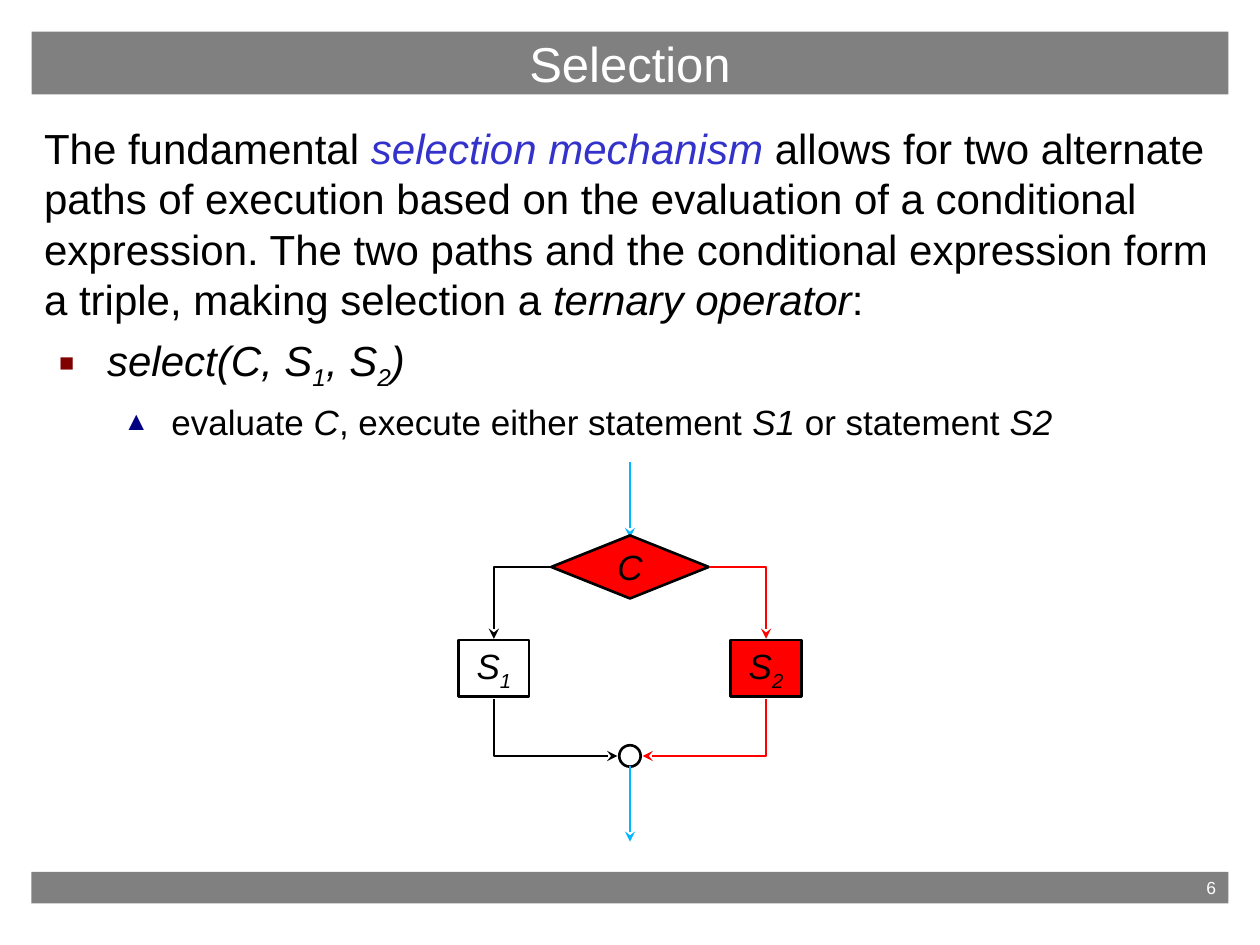
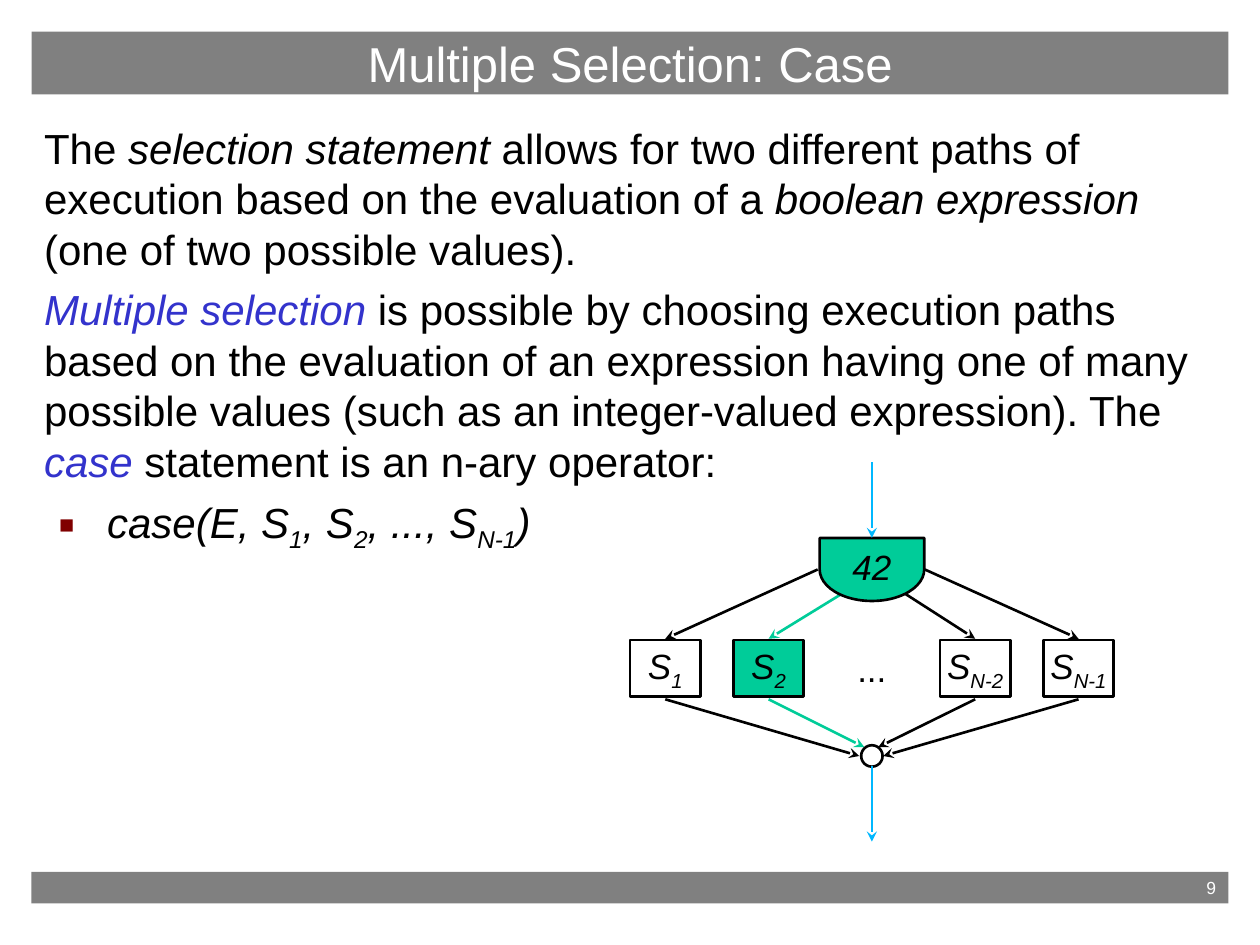
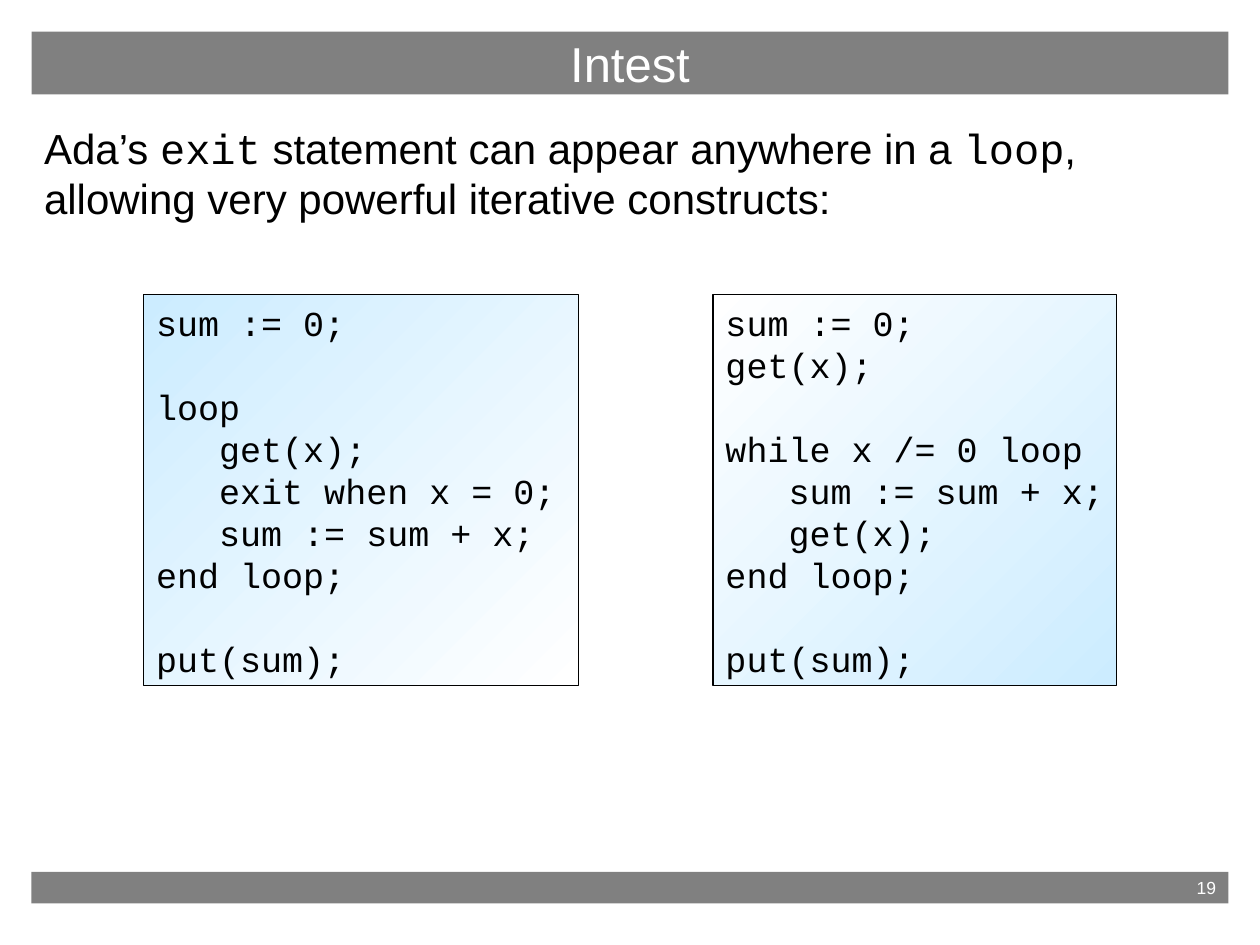
from dataclasses import dataclass

from pptx import Presentation
from pptx import util as u
from pptx.dml.color import RGBColor
from pptx.enum import shapes, text
from pptx.oxml import ns
from pptx.oxml.xmlchemy import OxmlElement

Inches, Pt = u.Inches, u.Pt
SHAPE, LINE = shapes.MSO_SHAPE, shapes.MSO_CONNECTOR
ALIGN, ANCHOR = text.PP_ALIGN, text.MSO_ANCHOR


@dataclass(frozen=True)
class Theme:
    sans: str = "Arial"
    mono: str = "Courier New"
    black: str = "000000"
    white: str = "FFFFFF"
    band: str = "808080"
    key: str = "3333CC"
    flow: str = "00B8FF"
    red: str = "FF0000"
    green: str = "00CC99"
    code: str = "CCECFF"
    title_pt: int = 28
    body_pt: int = 24
    small_pt: int = 20
    page_pt: int = 10
    leading: float = 1.2
    line_pt: float = 1.5


THEME = Theme()


@dataclass(frozen=True)
class Level:
    size: int
    space: int
    margin: float = 0
    indent: float = 0
    bullet: str = ""
    color: str = ""
    percent: int = 100


LEVELS = [
    Level(THEME.body_pt, 6),
    Level(THEME.body_pt, 10, 0.5, -0.38, "■", "800000", 60),
    Level(THEME.small_pt, 5, 1.01, -0.38, "▲", "000080", 75),
]

# Flow chart rows shared by both diagrams
ENTRY_Y, TEST_Y, TEST_H = 3.67, 4.5, 0.5
BOX_Y, BOX_W, BOX_H = 5.08, 0.56, 0.45
BOX_BOTTOM = BOX_Y + BOX_H + 0.02
JOIN_Y, JOIN_D, EXIT_Y = 6, 0.17, 6.68


def rgb(color):
    return RGBColor.from_string(color)


def set_font(font, size, color=THEME.black, name=THEME.sans, italic=None):
    font.size, font.name, font.italic = Pt(size), name, italic
    font.color.rgb = rgb(color)


def add_child(parent, tag, **attributes):
    child = OxmlElement(tag)
    for key, value in attributes.items():
        child.set(key, value)
    parent.append(child)
    return child


# Text
def add_runs(paragraph, runs):
    """Styles: i italic, k key term, s subscript, m monospaced."""
    for words, style in runs:
        run = paragraph.add_run()
        run.text = words
        if style in ("i", "k", "s"):
            run.font.italic = True
        if style == "k":
            run.font.color.rgb = rgb(THEME.key)
        elif style == "s":
            run.font._element.set("baseline", "-25000")
        elif style == "m":
            run.font.name = THEME.mono


def format_level(paragraph, level, first):
    pPr = paragraph._p.get_or_add_pPr()
    pPr.set("marL", str(Inches(level.margin)))
    pPr.set("indent", str(Inches(level.indent)))
    if level.bullet:
        add_child(add_child(pPr, "a:buClr"), "a:srgbClr", val=level.color)
        add_child(pPr, "a:buSzPct", val=str(level.percent * 1000))
        add_child(pPr, "a:buFont", typeface=THEME.sans)
        add_child(pPr, "a:buChar", char=level.bullet)
    else:
        add_child(pPr, "a:buNone")
    paragraph.space_before = Pt(0 if first else level.space)
    paragraph.line_spacing = Pt(level.size * THEME.leading)
    set_font(paragraph.font, level.size)


def fill_body(body, paragraphs):
    frame = body.text_frame
    frame.auto_size = text.MSO_AUTO_SIZE.NONE
    for index, (depth, runs) in enumerate(paragraphs):
        paragraph = frame.add_paragraph() if index else frame.paragraphs[0]
        paragraph.level = depth
        format_level(paragraph, LEVELS[depth], index == 0)
        add_runs(paragraph, runs)


def write_label(shape, runs):
    frame = shape.text_frame
    frame.word_wrap = False
    frame.vertical_anchor = ANCHOR.MIDDLE
    paragraph = frame.paragraphs[0]
    paragraph.alignment = ALIGN.CENTER
    set_font(paragraph.font, THEME.small_pt)
    add_runs(paragraph, runs)


# Shapes and lines
def place(shape, left, top, width, height):
    shape.left, shape.top = Inches(left), Inches(top)
    shape.width, shape.height = Inches(width), Inches(height)


def paint(shape, fill):
    shape.fill.solid()
    shape.fill.fore_color.rgb = rgb(fill)


def outline(shape, width):
    shape.line.color.rgb = rgb(THEME.black)
    shape.line.width = Pt(width)


def add_node(slide, kind, center, size, fill, border=True):
    (x, y), (w, h) = center, size
    node = slide.shapes.add_shape(kind, Inches(x - w / 2), Inches(y - h / 2),
                                  Inches(w), Inches(h))
    node.shadow.inherit = False
    paint(node, fill)
    if border:
        outline(node, THEME.line_pt)
    else:
        node.line.fill.background()
    return node


def add_statement(slide, x, runs, fill=THEME.white, border=True):
    center = (x, BOX_Y + BOX_H / 2)
    box = add_node(slide, SHAPE.RECTANGLE, center, (BOX_W, BOX_H), fill, border)
    write_label(box, runs)


def add_arrow(slide, start, end, color=THEME.black, kind=LINE.STRAIGHT,
              arrow_at="a:tailEnd"):
    arrow = slide.shapes.add_connector(kind, *map(Inches, start + end))
    arrow.line.color.rgb = rgb(color)
    arrow.line.width = Pt(THEME.line_pt)
    add_child(arrow.line._get_or_add_ln(), arrow_at, type="stealth")
    add_child(arrow._element.spPr, "a:effectLst")
    return arrow


def add_elbow(slide, start, end, color, arrow_at="a:tailEnd"):
    """Run level from start, then turn once towards end."""
    elbow = add_arrow(slide, start, end, color, LINE.ELBOW, arrow_at)
    elbow._element.spPr.find(ns.qn("a:prstGeom")).set("prst", "bentConnector2")


def add_entry(slide, x):
    add_arrow(slide, (x, ENTRY_Y), (x, 4.27), THEME.flow)


def add_join_and_exit(slide, x):
    add_node(slide, SHAPE.FLOWCHART_CONNECTOR, (x, JOIN_Y), (JOIN_D, JOIN_D), THEME.white)
    add_arrow(slide, (x, JOIN_Y + 0.08), (x, EXIT_Y), THEME.flow)


def add_code(slide, left, width, colors, code):
    box = slide.shapes.add_shape(SHAPE.RECTANGLE, Inches(left), Inches(2.34),
                                 Inches(width), Inches(3.1))
    box.shadow.inherit = False
    box.fill.gradient()
    box.fill.gradient_angle = 135
    for stop, position, color in zip(box.fill.gradient_stops, (0, 1), colors):
        stop.position = position
        stop.color.rgb = rgb(color)
    outline(box, 0.75)
    frame = box.text_frame
    frame.word_wrap = True
    frame.vertical_anchor = ANCHOR.MIDDLE
    frame.margin_right = Inches(0.05)
    paragraph = frame.paragraphs[0]
    paragraph.alignment = ALIGN.LEFT
    paragraph.line_spacing = Pt(THEME.small_pt * THEME.leading)
    set_font(paragraph.font, THEME.small_pt, name=THEME.mono)
    paragraph.text = code


# Slide frame: title band, body and page band
def add_page(deck, title, number, paragraphs):
    slide = deck.slides.add_slide(deck.slide_layouts[1])
    heading, body = slide.placeholders
    page_band = slide.shapes.add_shape(SHAPE.RECTANGLE, 0, 0, 0, 0)
    page_band.shadow.inherit = False
    page_band.line.fill.background()
    place(heading, 0.25, 0.25, 9.5, 0.5)
    place(body, 0.25, 0.92, 9.5, 5.83)
    place(page_band, 0.25, 6.92, 9.5, 0.25)
    bands = [(heading, title, THEME.title_pt, ALIGN.CENTER),
             (page_band, str(number), THEME.page_pt, ALIGN.RIGHT)]
    for band, words, size, alignment in bands:
        paint(band, THEME.band)
        frame = band.text_frame
        frame.auto_size = text.MSO_AUTO_SIZE.NONE
        frame.vertical_anchor = ANCHOR.MIDDLE
        paragraph = frame.paragraphs[0]
        paragraph.alignment = alignment
        set_font(paragraph.font, size, THEME.white)
        paragraph.text = words
    fill_body(body, paragraphs)
    return slide


def add_selection(deck):
    slide = add_page(deck, "Selection", 6, [
        (0, [("The fundamental ", ""), ("selection mechanism", "k"),
             (" allows for two alternate paths of execution based on the evaluation of a "
              "conditional expression. The two paths and the conditional expression form "
              "a triple, making selection a ", ""), ("ternary operator", "i"), (":", "")]),
        (1, [("select(C, S", "i"), ("1", "s"), (", S", "i"), ("2", "s"), (")", "i")]),
        (2, [("evaluate ", ""), ("C", "i"), (", execute either statement ", ""),
             ("S1", "i"), (" or statement ", ""), ("S2", "i")]),
    ])
    middle, reach = 5, 1.08
    add_entry(slide, middle)
    condition = add_node(slide, SHAPE.FLOWCHART_DECISION, (middle, TEST_Y),
                         (1.25, TEST_H), THEME.red)
    write_label(condition, [("C", "i")])
    branches = [(-1, "1", THEME.white, THEME.black), (1, "2", THEME.red, THEME.red)]
    for side, index, fill, color in branches:
        x = middle + side * reach
        add_statement(slide, x, [("S", "i"), (index, "s")], fill)
        add_elbow(slide, (middle + side * 0.63, TEST_Y), (x, BOX_Y - 0.01), color)
        add_elbow(slide, (middle + side * 0.1, JOIN_Y), (x, BOX_BOTTOM), color, "a:headEnd")
    add_join_and_exit(slide, middle)


def add_case(deck):
    slide = add_page(deck, "Multiple Selection: Case", 9, [
        (0, [("The ", ""), ("selection statement", "i"),
             (" allows for two different paths of execution based on the evaluation of a ", ""),
             ("boolean expression", "i"), (" (one of two possible values).", "")]),
        (0, [("Multiple selection", "k"),
             (" is possible by choosing execution paths based on the evaluation of an "
              "expression having one of many possible values (such as an integer-valued "
              "expression). The ", ""), ("case", "k"),
             (" statement is an n-ary operator:", "")]),
        (1, [("case(E, S", "i"), ("1", "s"), (", S", "i"), ("2", "s"),
             (", ..., S", "i"), ("N-1", "s"), (")", "i")]),
    ])
    middle, pitch, test_w = 6.92, 0.82, 0.83
    add_statement(slide, middle, [("...", "")], border=False)
    # Column, index, and where the arrows leave the test and reach the join
    branches = [(-2, "1", (-0.43, 4.52), (-0.1, JOIN_Y)),
                (-1, "2", (-0.25, 4.72), (-0.06, 5.93)),
                (1, "N-2", (0.26, 4.71), (0.05, 5.93)),
                (2, "N-1", (0.42, 4.52), (0.09, JOIN_Y))]
    for column, index, (leave_x, leave_y), (reach_x, reach_y) in branches:
        x = middle + column * pitch
        chosen = index == "2"
        color = THEME.green if chosen else THEME.black
        fill = THEME.green if chosen else THEME.white
        add_statement(slide, x, [("S", "i"), (index, "s")], fill)
        add_arrow(slide, (middle + leave_x, leave_y), (x, BOX_Y - 0.01), color)
        add_arrow(slide, (x, BOX_BOTTOM), (middle + reach_x, reach_y), color)
    expression = add_node(slide, SHAPE.FLOWCHART_DELAY, (middle, 4.52),
                          (TEST_H, test_w), THEME.green)
    expression.rotation = 90
    # The value stays upright, in a box as wide as the turned test shape
    value = slide.shapes.add_textbox(Inches(middle - test_w / 2), Inches(4.28),
                                     Inches(test_w), Inches(0.43))
    write_label(value, [("42", "i")])
    add_entry(slide, middle)
    add_join_and_exit(slide, middle)


def add_intest(deck):
    slide = add_page(deck, "Intest", 19, [
        (0, [("Ada’s ", ""), ("exit", "m"), (" statement can appear anywhere in a ", ""),
             ("loop", "m"), (", allowing very powerful iterative constructs:", "")]),
    ])
    add_code(slide, 1.14, 3.45, (THEME.white, THEME.code), """sum := 0;

loop
   get(x);
   exit when x = 0;
   sum := sum + x;
end loop;

put(sum);""")
    add_code(slide, 5.66, 3.2, (THEME.code, THEME.white), """sum := 0;
get(x);

while x /= 0 loop
   sum := sum + x;
   get(x);
end loop;

put(sum);""")


def main():
    deck = Presentation()
    deck.slide_width, deck.slide_height = Inches(10), Inches(7.5)
    add_selection(deck)
    add_case(deck)
    add_intest(deck)
    deck.save("out.pptx")


if __name__ == "__main__":
    main()
